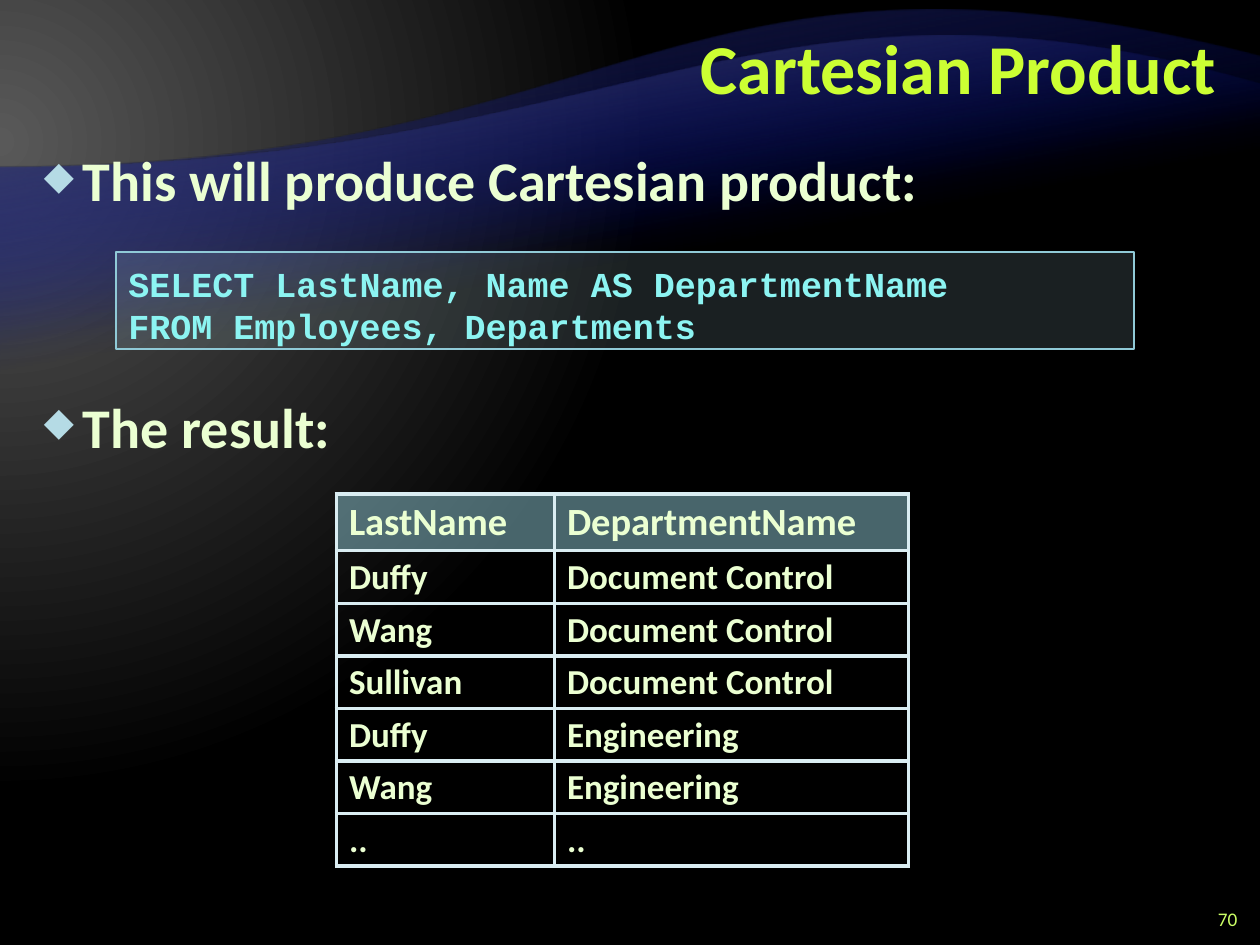
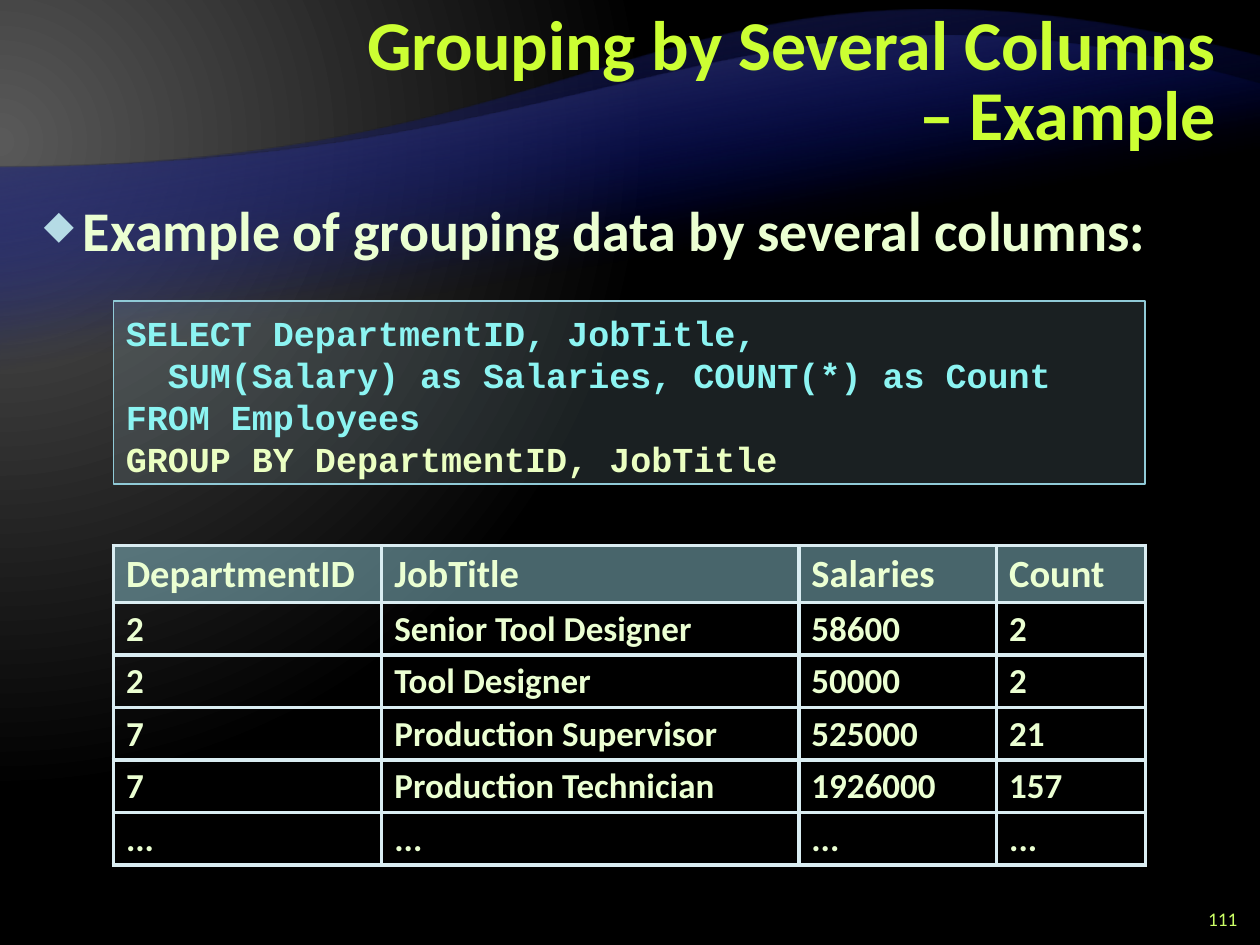
from lxml.etree import SubElement
from pptx import Presentation
from pptx.dml.color import RGBColor
from pptx.enum.shapes import MSO_SHAPE
from pptx.enum.text import MSO_ANCHOR, PP_ALIGN
from pptx.oxml import parse_xml
from pptx.oxml.ns import nsdecls, qn
from pptx.util import Inches, Pt

LIME, PALE, CODE, CODE_MARK = "CCFF33", "EBFFD2", "8CF4F2", "EBFFC2"
PAGE_NUMBER, ICE, TEAL, GRID = "CCFF66", "B5DBE5", "90CAD7", "DAEDF2"
BACKDROP = [(0, "595959", 100), (83, "000000", 100)]
GLOW = '<a:path path="circle"><a:fillToRect l="20000" t="30000" r="135000" b="100000"/></a:path>'
SLOPE = '<a:lin ang="4800000" scaled="0"/>'
WAVES = [
    (6.53, [(0, 1.33), (5, 1.33), (5.34, -0.75), (10, 0.45)], "262626"),
    (5.57, [(0, 1.33), (5, 1.33), (5.98, -0.49), (10, 0.67)], "595959"),
]


def color(value):
    """Turn a hex string into a colour."""
    return RGBColor.from_string(value)


def gradient(stops, direction):
    """Build a gradient fill from (position, colour, opacity) stops."""
    marks = "".join(
        f'<a:gs pos="{place * 1000}"><a:srgbClr val="{tone}">'
        f'<a:alpha val="{opacity * 1000}"/></a:srgbClr></a:gs>'
        for place, tone, opacity in stops)
    return parse_xml(f'<a:gradFill {nsdecls("a")} rotWithShape="1">'
                     f'<a:gsLst>{marks}</a:gsLst>{direction}</a:gradFill>')


def bezier(points, steps=60):
    """Return points along a cubic curve."""
    curve = []
    for step in range(steps + 1):
        t = step / steps
        weights = ((1 - t) ** 3, 3 * t * (1 - t) ** 2, 3 * t * t * (1 - t), t ** 3)
        curve.append(tuple(sum(w * point[axis] for w, point in zip(weights, points))
                           for axis in (0, 1)))
    return curve


def fill_solid(fill, tone, opacity):
    """Set a solid fill with an opacity in percent."""
    fill.solid()
    fill.fore_color.rgb = color(tone)
    return str(opacity * 1000)


class Deck:
    """Holds the presentation, its style and the current page."""

    def __init__(self):
        """Start an empty deck."""
        self.deck = Presentation()
        self.deck.slide_width, self.deck.slide_height = Inches(10), Inches(7.5)
        self.page = None

    def start_page(self, title, number, left, top):
        """Add a page with its backdrop, waves, title and number."""
        self.page = self.deck.slides.add_slide(self.deck.slide_layouts[6])
        self.page.background.fill.solid()
        holder = self.page.element.find(".//" + qn("p:bgPr"))
        holder.replace(holder.find(qn("a:solidFill")), gradient(BACKDROP, GLOW))
        for bottom, curve, edge in WAVES:
            self.wave(bottom, curve, edge)
        frame = self.text_box(left, top, 9.75 - left, 1, MSO_ANCHOR.MIDDLE)
        para = frame.paragraphs[0]
        para.alignment, para.line_spacing = PP_ALIGN.RIGHT, Pt(40)
        self.span(para, title, 40, LIME)
        frame = self.text_box(9.42, 7.17, 0.5, 0.25, MSO_ANCHOR.MIDDLE)
        para = frame.paragraphs[0]
        para.alignment = PP_ALIGN.RIGHT
        self.span(para, number, 11, PAGE_NUMBER, bold=False)

    def wave(self, bottom, curve, edge):
        """Draw one translucent wave, turned upside down."""
        outline = bezier(curve) + [(10, bottom), (0, bottom)]
        top = min(y for x, y in outline)
        turned = [(Inches(10 - x), Inches(top + bottom - y)) for x, y in outline]
        builder = self.page.shapes.build_freeform(*turned[0])
        builder.add_line_segments(turned[1:], close=True)
        shape = builder.convert_to_shape()
        shape.rotation = 180
        shape.shadow.inherit = False
        shape.line.fill.background()
        shape.fill.solid()
        properties = shape.element.spPr
        properties.replace(properties.find(qn("a:solidFill")),
                           gradient([(65, "000D9E", 0), (100, edge, 100)], SLOPE))

    def text_box(self, left, top, width, height, anchor=MSO_ANCHOR.TOP):
        """Add a wrapping text box and return its frame."""
        box = self.page.shapes.add_textbox(
            Inches(left), Inches(top), Inches(width), Inches(height))
        box.text_frame.word_wrap = True
        box.text_frame.vertical_anchor = anchor
        return box.text_frame

    def span(self, para, text, size, tone, font="Calibri", bold=True):
        """Add one run of text."""
        span = para.add_run()
        span.text = text
        span.font.name, span.font.size, span.font.bold = font, Pt(size), bold
        span.font.color.rgb = color(tone)

    def bullets(self, top, lines, spacing=1.0, gap=0):
        """Add diamond bullets, set apart by a gap in points."""
        frame = self.text_box(0.25, top, 9.5, 7.33 - top)
        for index, line in enumerate(lines):
            para = frame.add_paragraph() if index else frame.paragraphs[0]
            para.line_spacing, para.space_after = spacing, Pt(6)
            para.space_before = Pt(gap if index else 0)
            properties = para._p.get_or_add_pPr()
            properties.set("marL", str(Inches(0.31)))
            properties.set("indent", str(-Inches(0.31)))
            SubElement(SubElement(properties, qn("a:buClr")), qn("a:srgbClr"), val=ICE)
            SubElement(properties, qn("a:buSzPct"), val="70000")
            SubElement(properties, qn("a:buChar"), char="◆")
            self.span(para, line, 32, PALE)

    def code(self, left, top, width, height, lines):
        """Add a code panel from (text, colour) lines."""
        box = self.page.shapes.add_shape(
            MSO_SHAPE.RECTANGLE, Inches(left), Inches(top), Inches(width), Inches(height))
        box.shadow.inherit = False
        opacity = fill_solid(box.fill, ICE, 15)
        tone = box.element.spPr.find(qn("a:solidFill")).find(qn("a:srgbClr"))
        SubElement(tone, qn("a:alpha"), val=opacity)
        box.line.color.rgb, box.line.width = color(TEAL), Pt(1)
        frame = box.text_frame
        frame.word_wrap, frame.vertical_anchor = True, MSO_ANCHOR.TOP
        frame.margin_top, frame.margin_bottom = Inches(0.08), Inches(0.02)
        for index, (line, tone) in enumerate(lines):
            para = frame.add_paragraph() if index else frame.paragraphs[0]
            para.alignment, para.line_spacing = PP_ALIGN.LEFT, Pt(24)
            self.span(para, line, 20, tone, "Courier New")

    def table(self, left, top, height, widths, rows):
        """Add a ruled table whose first row is the header."""
        grid = self.page.shapes.add_table(
            len(rows), len(widths), Inches(left), Inches(top),
            Inches(sum(widths)), Inches(height)).table
        grid.first_row = grid.horz_banding = False
        for column, width in zip(grid.columns, widths):
            column.width = Inches(width)
        for index, values in enumerate(rows):
            header = index == 0
            grid.rows[index].height = Inches(
                0.45 if header else (height - 0.45) / (len(rows) - 1))
            for cell, value in zip(grid.rows[index].cells, values):
                self.style_cell(cell, header)
                para = cell.text_frame.paragraphs[0]
                para.line_spacing = 0.95
                self.span(para, value, 22 if header else 20, PALE)

    def style_cell(self, cell, header):
        """Set the fill and the four borders of a cell."""
        properties = cell._tc.get_or_add_tcPr()
        if header:
            opacity = fill_solid(cell.fill, TEAL, 50)
            SubElement(properties.find(".//" + qn("a:srgbClr")), qn("a:alpha"), val=opacity)
        else:
            cell.fill.background()
        for place, side in enumerate(("lnL", "lnR", "lnT", "lnB")):
            properties.insert(place, parse_xml(
                f'<a:{side} {nsdecls("a")} w="{Pt(2.25)}"><a:solidFill>'
                f'<a:srgbClr val="{GRID}"/></a:solidFill></a:{side}>'))


def main():
    """Build both pages and save the deck."""
    deck = Deck()

    deck.start_page("Cartesian Product", "70", 2, 0.08)
    deck.bullets(1.17, ["This will produce Cartesian product:", "The result:"], 0.9, 100)
    deck.code(0.92, 2, 8.08, 0.77, [
        ("SELECT LastName, Name AS DepartmentName", CODE),
        ("FROM Employees, Departments", CODE),
    ])
    deck.table(2.67, 3.92, 2.95, [1.73, 2.81], [
        ("LastName", "DepartmentName"),
        ("Duffy", "Document Control"),
        ("Wang", "Document Control"),
        ("Sullivan", "Document Control"),
        ("Duffy", "Engineering"),
        ("Wang", "Engineering"),
        ("..", ".."),
    ])

    deck.start_page("Grouping by Several Columns – Example", "111", 2.75, 0.17)
    deck.bullets(1.5, ["Example of grouping data by several columns:"])
    deck.code(0.9, 2.39, 8.19, 1.45, [
        ("SELECT DepartmentID, JobTitle,", CODE),
        ("  SUM(Salary) as Salaries, COUNT(*) as Count", CODE),
        ("FROM Employees", CODE),
        ("GROUP BY DepartmentID, JobTitle", CODE_MARK),
    ])
    deck.table(0.9, 4.33, 2.53, [2.13, 3.31, 1.57, 1.18], [
        ("DepartmentID", "JobTitle", "Salaries", "Count"),
        ("2", "Senior Tool Designer", "58600", "2"),
        ("2", "Tool Designer", "50000", "2"),
        ("7", "Production Supervisor", "525000", "21"),
        ("7", "Production Technician", "1926000", "157"),
        ("...", "...", "...", "..."),
    ])

    deck.deck.save("out.pptx")


if __name__ == "__main__":
    main()
